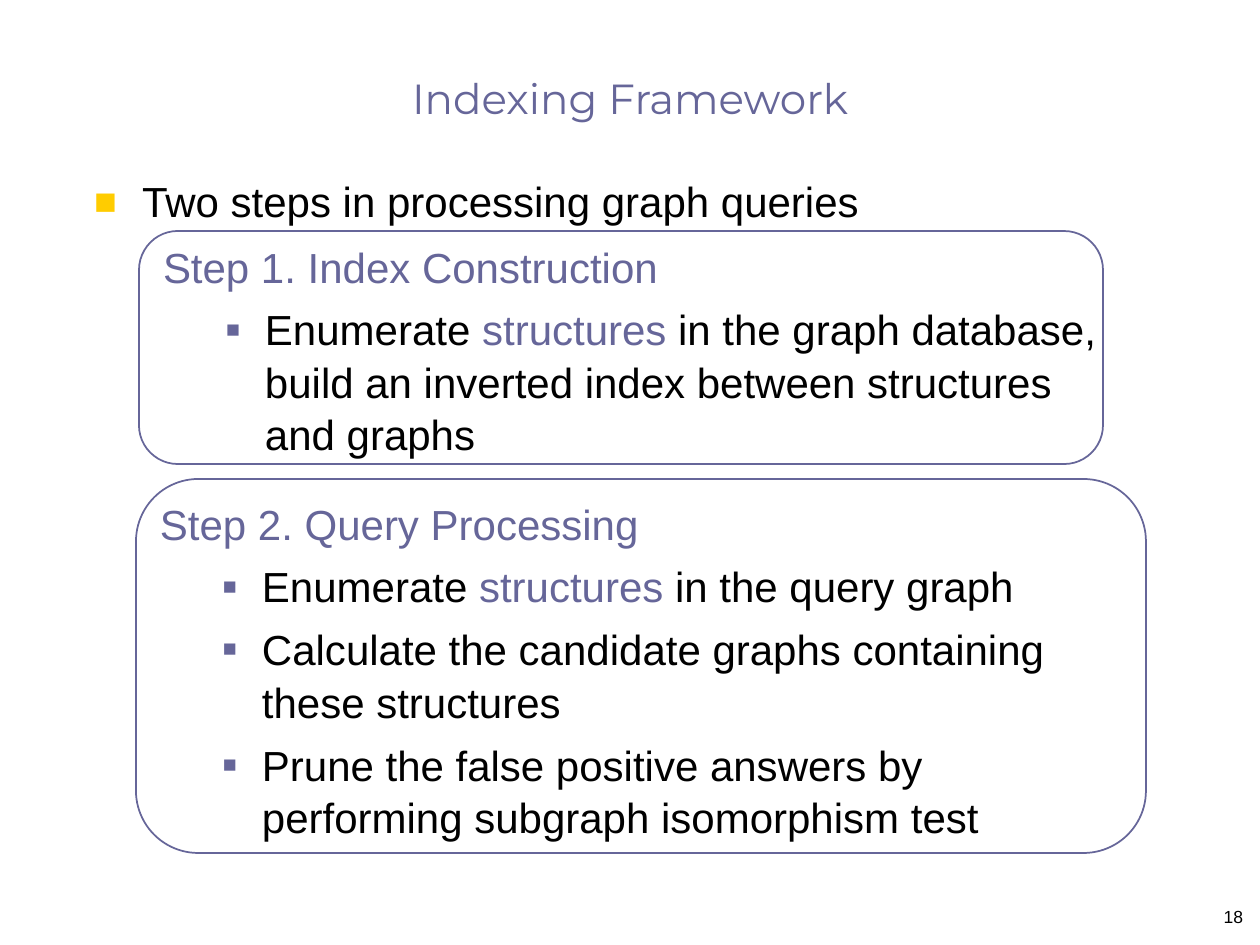
from lxml.etree import SubElement
from pptx import Presentation
from pptx.dml.color import RGBColor
from pptx.enum.shapes import MSO_SHAPE
from pptx.enum.text import MSO_ANCHOR, PP_ALIGN
from pptx.oxml.ns import qn
from pptx.util import Pt

THEME = {
    "accent": RGBColor.from_string("666699"),
    "ink": RGBColor.from_string("000000"),
    "gold": RGBColor.from_string("FFCC00"),
    "title_font": "Montserrat",
    "body_font": "Arial",
    "size": Pt(24),
    "number_size": Pt(10),
    "line": Pt(1),
}
EMU_PER_PX = 914400 / 126

# Paragraph styles: margin and hanging indent in px, bullet colour and percent
STYLES = {
    "plain": {"margin": 0, "hang": 0},
    "point": {"margin": 48, "hang": 48, "bullet": "gold", "percent": 90},
    "step": {"margin": 48, "hang": 48},
    "detail": {"margin": 102, "hang": 39, "bullet": "accent", "percent": 55},
}

# Each paragraph is a style and its spans: (text, colour)
TITLE = [("plain", [("Indexing Framework", "accent")])]
NUMBER = [("plain", [("18", "ink")])]
INTRO = [("point", [("Two steps in processing graph queries", "ink")])]
STEPS = [
    {
        "frame": (139, 231, 964, 233),
        "box": (150, 233, 964, 183),
        "text": [
            ("step", [("Step 1. Index Construction", "accent")]),
            ("detail", [
                ("Enumerate ", "ink"),
                ("structures ", "accent"),
                ("in the graph database, build an inverted index between structures and graphs", "ink"),
            ]),
        ],
    },
    {
        "frame": (136, 479, 1010, 374),
        "box": (147, 490, 977, 310),
        "text": [
            ("step", [("Step 2. Query Processing", "accent")]),
            ("detail", [
                ("Enumerate ", "ink"),
                ("structures ", "accent"),
                ("in the query graph", "ink"),
            ]),
            ("detail", [("Calculate the candidate graphs containing these structures", "ink")]),
            ("detail", [("Prune the false positive answers by performing subgraph isomorphism test", "ink")]),
        ],
    },
]


def px(length):
    return round(length * EMU_PER_PX)


def set_attributes(target, values):
    for name, value in values.items():
        setattr(target, name, value)


def place(shape, area):
    set_attributes(shape, dict(zip(("left", "top", "width", "height"), map(px, area))))


def style_para(para, style):
    """Set the indents and the bullet of a paragraph."""
    properties = para._p.get_or_add_pPr()
    properties.set("marL", str(px(style["margin"])))
    properties.set("indent", str(-px(style["hang"])))
    if "bullet" not in style:
        SubElement(properties, qn("a:buNone"))
        return
    colour = SubElement(properties, qn("a:buClr"))
    SubElement(colour, qn("a:srgbClr"), val=str(THEME[style["bullet"]]))
    SubElement(properties, qn("a:buSzPct"), val=str(style["percent"] * 1000))
    SubElement(properties, qn("a:buFont"), typeface=THEME["body_font"])
    SubElement(properties, qn("a:buChar"), char="■")


def write(frame, paragraphs, font="body_font", size="size", spacing=1.045,
          align=PP_ALIGN.LEFT, anchor=MSO_ANCHOR.TOP, inset=6):
    set_attributes(frame, {
        "word_wrap": True,
        "vertical_anchor": anchor,
        "margin_left": px(13),
        "margin_right": px(13),
        "margin_top": px(inset),
        "margin_bottom": px(inset),
    })
    for index, (style, spans) in enumerate(paragraphs):
        para = frame.add_paragraph() if index else frame.paragraphs[0]
        style_para(para, STYLES[style])
        set_attributes(para, {
            "alignment": align,
            "line_spacing": spacing,
            "space_before": Pt(6 if index else 0),
        })
        for text, colour in spans:
            span = para.add_run()
            span.text = text
            set_attributes(span.font, {"name": THEME[font], "size": THEME[size]})
            span.font.color.rgb = THEME[colour]


def add_text(page, area, paragraphs, **options):
    box = page.shapes.add_textbox(*map(px, area))
    write(box.text_frame, paragraphs, **options)


def add_frame(page, area):
    frame = page.shapes.add_shape(MSO_SHAPE.ROUNDED_RECTANGLE, *map(px, area))
    frame.shadow.inherit = False
    frame.fill.background()
    frame.line.color.rgb = THEME["accent"]
    frame.line.width = THEME["line"]


def main():
    deck = Presentation()
    set_attributes(deck, {"slide_width": px(1260), "slide_height": px(945)})
    page = deck.slides.add_slide(deck.slide_layouts[5])

    title = page.shapes.title
    place(title, (79, 42, 1102, 84))
    write(title.text_frame, TITLE, font="title_font", spacing=1.0,
          align=PP_ALIGN.CENTER, anchor=MSO_ANCHOR.BOTTOM, inset=3)

    add_text(page, (81, 168, 1115, 654), INTRO)
    for step in STEPS:
        add_frame(page, step["frame"])
        add_text(page, step["box"], step["text"])
    add_text(page, (1203, 900, 53, 42), NUMBER, size="number_size",
             spacing=1.0, align=PP_ALIGN.RIGHT)

    deck.save("out.pptx")


if __name__ == "__main__":
    main()
